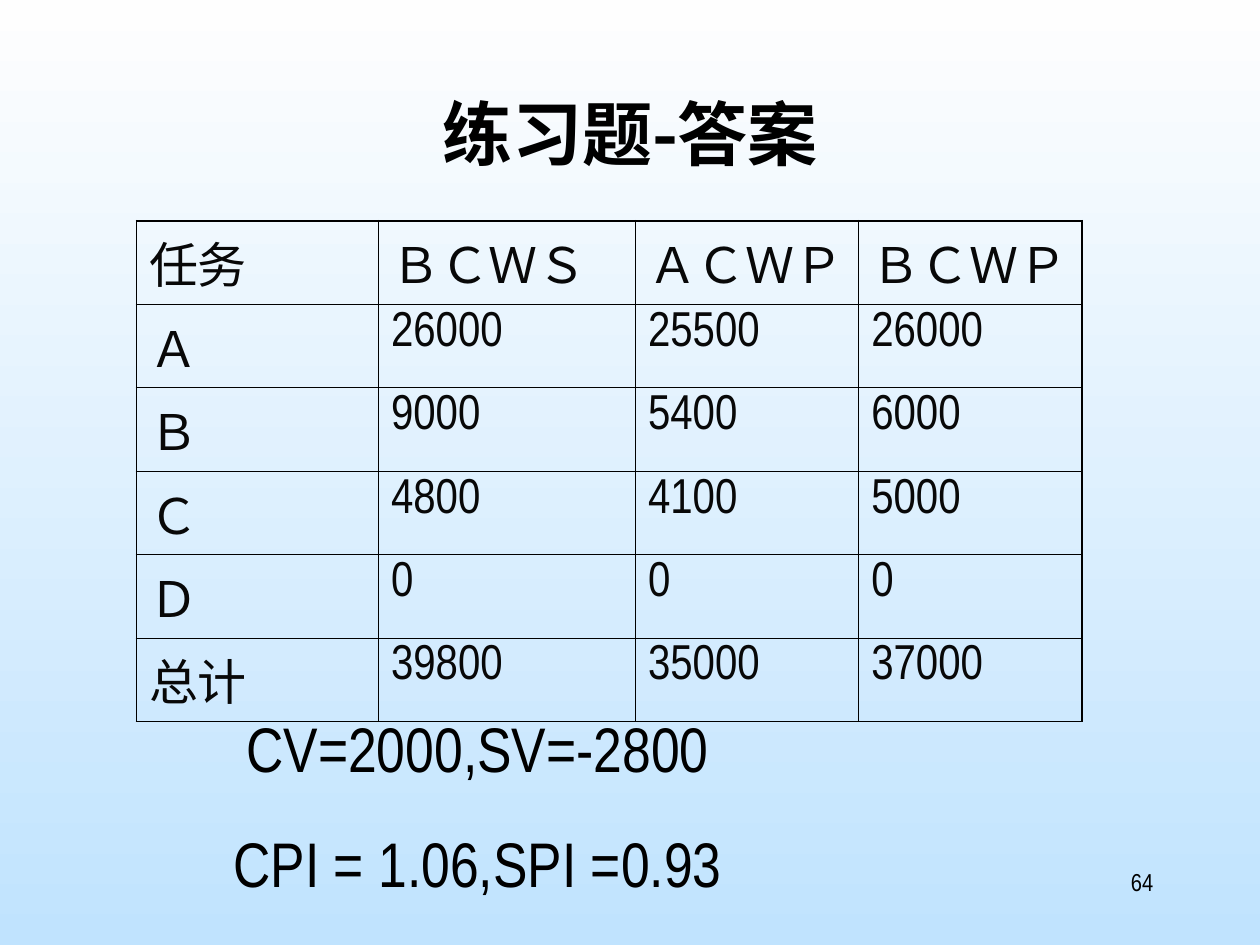
from lxml import etree
from pptx import Presentation
from pptx.dml.color import RGBColor
from pptx.enum.text import MSO_ANCHOR, MSO_AUTO_SIZE, PP_ALIGN
from pptx.oxml.ns import qn
from pptx.util import Cm, Pt

CENTER, RIGHT = PP_ALIGN.CENTER, PP_ALIGN.RIGHT
TOP = MSO_ANCHOR.TOP
GROW = MSO_AUTO_SIZE.SHAPE_TO_FIT_TEXT
TITLE_ONLY = 5

BLACK = RGBColor(0x00, 0x00, 0x00)
TABLE_INK = RGBColor(0x08, 0x08, 0x08)
SKY_TOP = RGBColor(0xFE, 0xFE, 0xFE)
SKY_BOTTOM = RGBColor(0xC0, 0xE3, 0xFE)

LATIN_FONT = "Arial Narrow"
CJK_FONT = "Noto Sans CJK SC"
OUTER_LINE, INNER_LINE = Pt(1.08), Pt(0.45)

COLUMN_WIDTHS = [4.88, 5.18, 4.5, 4.5]
EARNED_VALUES = [
    ["任务", "ＢＣＷＳ", "ＡＣＷＰ", "ＢＣＷＰ"],
    ["Ａ", "26000", "25500", "26000"],
    ["Ｂ", "9000", "5400", "6000"],
    ["Ｃ", "4800", "4100", "5000"],
    ["Ｄ", "0", "0", "0"],
    ["总计", "39800", "35000", "37000"],
]
INDICATORS = ["CV=2000,SV=-2800", "CPI = 1.06,SPI =0.93"]


def add_run(paragraph, text, size, color=BLACK, font=LATIN_FONT, bold=False):
    run = paragraph.add_run()
    run.text = text
    run.font.size = Pt(size)
    run.font.name = font
    run.font.bold = bold
    run.font.color.rgb = color
    east_asian = etree.SubElement(run.font._element, qn("a:ea"))
    east_asian.set("typeface", CJK_FONT)


def set_borders(cell, widths):
    """Draw the left, right, top and bottom borders of a cell."""
    properties = cell._tc.get_or_add_tcPr()
    for position, (side, width) in enumerate(zip("LRTB", widths)):
        line = etree.Element(qn(f"a:ln{side}"), w=str(width))
        fill = etree.SubElement(line, qn("a:solidFill"))
        etree.SubElement(fill, qn("a:srgbClr"), val=str(BLACK))
        properties.insert(position, line)


def paint_background(slide):
    fill = slide.background.fill
    fill.gradient()
    fill.gradient_angle = 270
    for stop, color in zip(fill.gradient_stops, (SKY_TOP, SKY_BOTTOM)):
        stop.color.rgb = color
    for stop, position in zip(fill.gradient_stops, (0, 1)):
        stop.position = position


def place_title(slide, left, top, width, height):
    title = slide.shapes.title
    title.left, title.top, title.width, title.height = left, top, width, height
    frame = title.text_frame
    frame.vertical_anchor = TOP
    heading = frame.paragraphs[0]
    heading.alignment = CENTER
    add_run(heading, "练习题-答案", 40, font=CJK_FONT, bold=True)


def place_table(slide, left, top, width, height):
    row_count, column_count = len(EARNED_VALUES), len(COLUMN_WIDTHS)
    table = slide.shapes.add_table(
        row_count, column_count, left, top, width, height).table
    table.first_row = table.horz_banding = False
    for column, column_width in zip(table.columns, COLUMN_WIDTHS):
        column.width = Cm(column_width)

    for r, row_values in enumerate(EARNED_VALUES):
        for c, value in enumerate(row_values):
            cell = table.cell(r, c)
            cell.fill.background()
            on_edge = (c == 0, c == column_count - 1, r == 0, r == row_count - 1)
            set_borders(cell, [OUTER_LINE if edge else INNER_LINE for edge in on_edge])
            paragraph = cell.text_frame.paragraphs[0]
            paragraph.space_before = Pt(7)
            add_run(paragraph, value, 28, TABLE_INK)


def place_indicators(slide, left, top, width, height):
    frame = slide.shapes.add_textbox(left, top, width, height).text_frame
    frame.word_wrap = True
    frame.auto_size = GROW
    for i, indicator in enumerate(INDICATORS):
        paragraph = frame.add_paragraph() if i else frame.paragraphs[0]
        paragraph.alignment = CENTER
        paragraph.space_before = Pt(22.5)
        add_run(paragraph, indicator, 36)


def place_page_number(slide, left, top, width, height):
    frame = slide.shapes.add_textbox(left, top, width, height).text_frame
    frame.word_wrap = True
    paragraph = frame.paragraphs[0]
    paragraph.alignment = RIGHT
    add_run(paragraph, "64", 14)


def main():
    presentation = Presentation()
    presentation.slide_width, presentation.slide_height = Cm(25.4), Cm(19.05)
    slide = presentation.slides.add_slide(presentation.slide_layouts[TITLE_ONLY])

    paint_background(slide)
    place_title(slide, Cm(1.9), Cm(1.7), Cm(21.6), Cm(3.18))
    place_table(slide, Cm(2.75), Cm(4.45), Cm(sum(COLUMN_WIDTHS)), Cm(8.64))
    place_indicators(slide, Cm(2.75), Cm(14.18), Cm(13.76), Cm(4.12))
    place_page_number(slide, Cm(18.2), Cm(17.36), Cm(5.3), Cm(1.27))

    presentation.save("out.pptx")


if __name__ == "__main__":
    main()
